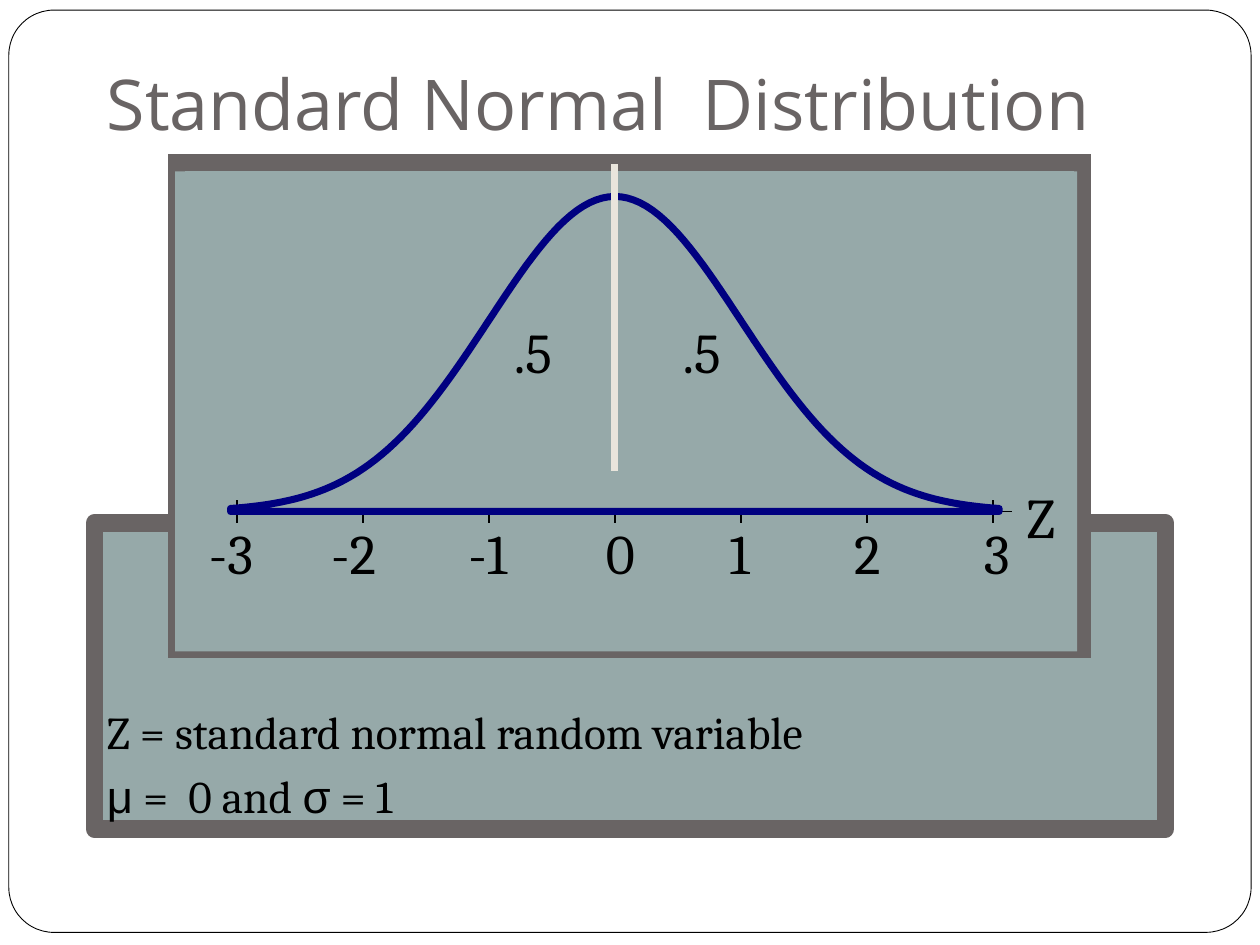
from dataclasses import dataclass
from math import exp

from lxml import etree
from pptx import Presentation
from pptx.dml.color import RGBColor
from pptx.enum import shapes, text
from pptx.oxml import ns
from pptx.util import Inches, Pt


@dataclass(frozen=True)
class Theme:
    panel: str = "96A9A9"
    gray: str = "696464"
    black: str = "000000"
    white: str = "FFFFFF"
    navy: str = "000080"
    cream: str = "E9E5DC"
    heading: str = "Open Sans"
    serif: str = "Cambria"
    symbol: str = "Arial"
    title_size: int = 40
    label_size: int = 32
    body_size: int = 26


T = Theme()


def set_line(line, color, width):
    line.color.rgb = RGBColor.from_string(color)
    line.width = Pt(width)


def style(sp, fill, color=None, width=0):
    sp.shadow.inherit = False
    sp.fill.solid()
    sp.fill.fore_color.rgb = RGBColor.from_string(fill)
    if color:
        set_line(sp.line, color, width)
    else:
        sp.line.fill.background()


def add_box(parent, box, fill, color=None, width=0, kind=shapes.MSO_SHAPE.RECTANGLE):
    sp = parent.add_shape(kind, *map(Inches, box))
    style(sp, fill, color, width)
    return sp


def add_line(parent, x1, y1, x2, y2, color, width):
    s = parent.add_connector(shapes.MSO_CONNECTOR.STRAIGHT,
                             *map(Inches, (x1, y1, x2, y2)))
    set_line(s.line, color, width)
    etree.SubElement(s._element.spPr, ns.qn("a:effectLst"))


def add_run(p, words, font, size, color):
    r = p.add_run()
    r.text = words
    r.font.name = font
    r.font.size = Pt(size)
    r.font.color.rgb = RGBColor.from_string(color)


def add_label(parent, words, x, y, width):
    sp = parent.add_textbox(*map(Inches, (x, y, width, 0.63)))
    tf = sp.text_frame
    tf.word_wrap = False
    tf.auto_size = text.MSO_AUTO_SIZE.SHAPE_TO_FIT_TEXT
    add_run(tf.paragraphs[0], words, T.serif, T.label_size, T.black)


def page_frame(s, box):
    sp = add_box(s.shapes, box, T.white, T.black, 0.5,
                 shapes.MSO_SHAPE.ROUNDED_RECTANGLE)
    sp.adjustments[0] = 0.049


def title(s, box):
    tf = s.shapes.add_textbox(*map(Inches, box)).text_frame
    tf.word_wrap = True
    tf.vertical_anchor = text.MSO_ANCHOR.BOTTOM
    tf.margin_bottom = Inches(0.1)
    add_run(tf.paragraphs[0], "Standard Normal  Distribution",
            T.heading, T.title_size, T.gray)


def definitions(s, box):
    tf = add_box(s.shapes, box, T.panel, T.gray, 10).text_frame
    tf.word_wrap = True
    tf.vertical_anchor = text.MSO_ANCHOR.BOTTOM
    lines = [
        [("Z = standard normal random variable", T.serif)],
        [("μ", T.symbol), (" =  0 and ", T.serif), ("σ", T.symbol), (" = 1", T.serif)],
    ]
    for i, runs in enumerate(lines):
        p = tf.add_paragraph() if i else tf.paragraphs[0]
        p.alignment = text.PP_ALIGN.LEFT
        p.space_before = Pt(5.8)
        pPr = p._p.get_or_add_pPr()
        pPr.set("marL", str(Inches(0.3)))
        pPr.set("indent", str(Inches(-0.3)))
        for words, font in runs:
            add_run(p, words, font, T.body_size, T.black)


def bell_curve(parent, center, base, height, unit):
    # Normal density, closed along the baseline
    end, step = 3.05, 0.05
    zs = [-end + step * i for i in range(round(2 * end / step) + 1)]
    points = [(center + z * unit, base - height * exp(-z * z / 2)) for z in zs]
    points += [(center + end * unit, base), (center - end * unit, base)]
    emu = [(Inches(x), Inches(y)) for x, y in points]
    outline = parent.build_freeform(*emu[0])
    outline.add_line_segments(emu[1:], close=True)
    style(outline.convert_to_shape(), T.panel, T.navy, 4)


def distribution(s, box):
    x, y, w, h = box
    center, base, unit = x + 3.48, y + 2.77, 1.0
    g = s.shapes.add_group_shape().shapes

    # Framed panel, with an offset face over part of its border
    frame = add_box(g, box, T.panel, T.gray, 10)
    etree.SubElement(frame.line._get_or_add_ln(), ns.qn("a:miter")).set("lim", "800000")
    add_box(g, (x - 0.01, y + 0.07, w - 0.03, h - 0.05), T.panel)

    # Axis, ticks and their labels
    add_label(g, "Z", x + 6.65, y + 2.49, 0.47)
    add_line(g, center - 3 * unit, base, center + 3.15 * unit, base, T.black, 1)
    label_lefts = (0.16, 1.13, 2.22, 3.31, 4.29, 5.28, 6.31)
    for z, left in zip(range(-3, 4), label_lefts):
        tick = center + z * unit
        add_label(g, str(z), x + left, y + 2.78, 0.57 if z < 0 else 0.42)
        add_line(g, tick, base + 0.09, tick, base - 0.09, T.black, 1)

    bell_curve(g, center, base, 2.5, unit)

    # Mean line and the area on each side
    add_line(g, center, y + 0.01, center, y + 2.45, T.cream, 4)
    for left in (2.58, 3.92):
        add_label(g, ".5", x + left, y + 1.18, 0.53)


def main():
    prs = Presentation()
    prs.slide_width, prs.slide_height = Inches(10), Inches(7.5)
    s = prs.slides.add_slide(prs.slide_layouts[6])
    page_frame(s, (0.07, 0.08, 9.86, 7.32))
    definitions(s, (0.75, 4.15, 8.5, 2.43))
    distribution(s, (1.4, 1.29, 7.19, 3.86))
    title(s, (0.75, 0, 8.5, 1.25))
    prs.save("out.pptx")


main()
